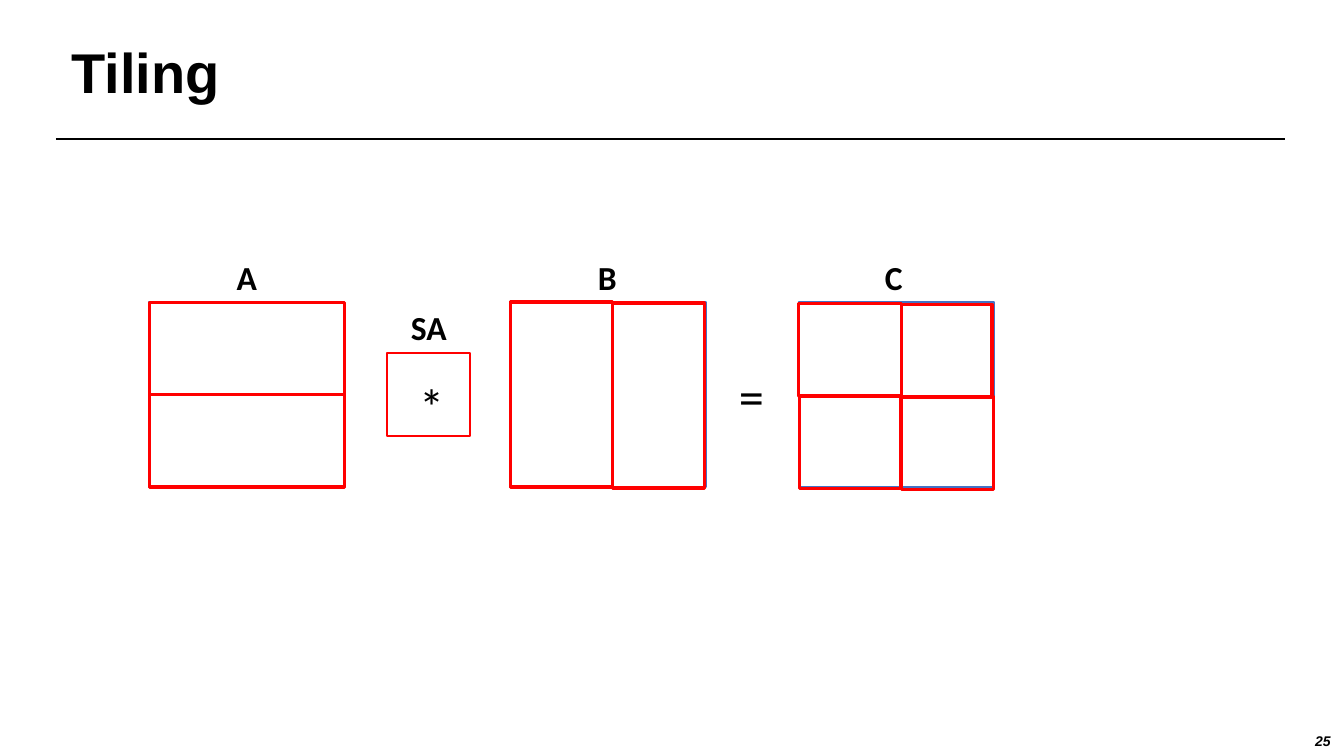
import pptx
import pptx.util
import pptx.dml.color
import pptx.enum.shapes
import pptx.enum.text
import pptx.oxml.ns
import lxml.etree

Pt = pptx.util.Pt
ALIGN = pptx.enum.text.PP_ALIGN
ANCHOR = pptx.enum.text.MSO_ANCHOR
AUTO = pptx.enum.text.MSO_AUTO_SIZE
BLACK = pptx.dml.color.RGBColor(0x00, 0x00, 0x00)
RED = pptx.dml.color.RGBColor(0xFF, 0x00, 0x00)
BLUE = pptx.dml.color.RGBColor(0x44, 0x72, 0xC4)

prs = pptx.Presentation()
prs.slide_width, prs.slide_height = Pt(960), Pt(540)
s = prs.slides.add_slide(prs.slide_layouts[6])


def add_text(text, box, wrap=False, anchor=ANCHOR.TOP, align=ALIGN.LEFT, spacing=1.0, **font):
    tf = s.shapes.add_textbox(*map(Pt, box)).text_frame
    tf.word_wrap = wrap
    tf.auto_size = AUTO.NONE if wrap else AUTO.SHAPE_TO_FIT_TEXT
    tf.vertical_anchor = anchor
    p = tf.paragraphs[0]
    p.alignment, p.line_spacing = align, spacing
    r = p.add_run()
    r.text = text
    r.font.color.rgb = BLACK
    for name, value in font.items():
        setattr(r.font, name, value)


def add_frame(box, color, width):
    sp = s.shapes.add_shape(pptx.enum.shapes.MSO_SHAPE.RECTANGLE, *map(Pt, box))
    sp.shadow.inherit = False
    sp.fill.background()
    sp.line.color.rgb = color
    sp.line.width = Pt(width)


# Page number, rule and title
add_text("25", (821.5, 522, 136, 16), True, ANCHOR.MIDDLE, ALIGN.RIGHT, 0.93,
         name="Arial", size=Pt(10), bold=True, italic=True)
rule = s.shapes.add_connector(pptx.enum.shapes.MSO_CONNECTOR.STRAIGHT,
                              Pt(40), Pt(99.3), Pt(918), Pt(99.3))
rule.line.color.rgb = BLACK
rule.line.width = Pt(1.5)
lxml.etree.SubElement(rule._element.spPr, pptx.oxml.ns.qn("a:effectLst"))
add_text("Tiling", (44, 14.4, 828, 79.2), True, ANCHOR.MIDDLE, spacing=0.9,
         name="Arial", size=Pt(40), bold=True)

# Whole matrices
A_LEFT, B_LEFT, C_LEFT, TOP = 106.5, 364.5, 570.5, 216
WIDTH, HEIGHT = 139.5, 132
for left in (A_LEFT, B_LEFT, C_LEFT):
    add_frame((left, TOP, WIDTH, HEIGHT), BLUE, 1.5)

# Scratch area
add_frame((276.5, 252, 59.3, 59.6), RED, 1.5)

# Names and operators
for text, left, top, width in (("A", 162, 180, 29.5), ("B", 420, 180, 29.5),
                               ("C", 625, 180, 27.4), ("SA", 286.5, 216, 40.3)):
    add_text(text, (left, top, width, 36), name="Calibri", size=Pt(24), bold=True)
for text, left, top in (("*", 292.3, 264.2), ("=", 520.6, 257)):
    add_text(text, (left, top, 32.4, 51), name="Calibri", size=Pt(36))

# Tiles: A in rows, B in columns, C in both
HALF, COL, LAST_COL = 66, 73.3, 65.5
tiles = [
    (B_LEFT, TOP, COL, HEIGHT),
    (C_LEFT, 216.9, COL, HALF),
    (A_LEFT, TOP, WIDTH, HALF),
    (B_LEFT + COL, TOP, LAST_COL, HEIGHT),
    (C_LEFT + COL, 217.5, 64.8, HALF),
    (A_LEFT, TOP + HALF, WIDTH, HALF),
    (B_LEFT, 215.4, COL, HEIGHT),
    (571.2, 283.2, 72.3, HALF),
    (A_LEFT, 281.6, WIDTH, HALF),
    (B_LEFT + COL, 216.8, LAST_COL, HEIGHT),
    (644.2, 283.6, LAST_COL, HALF),
]
for tile in tiles:
    add_frame(tile, RED, 2.25)

prs.save("out.pptx")
